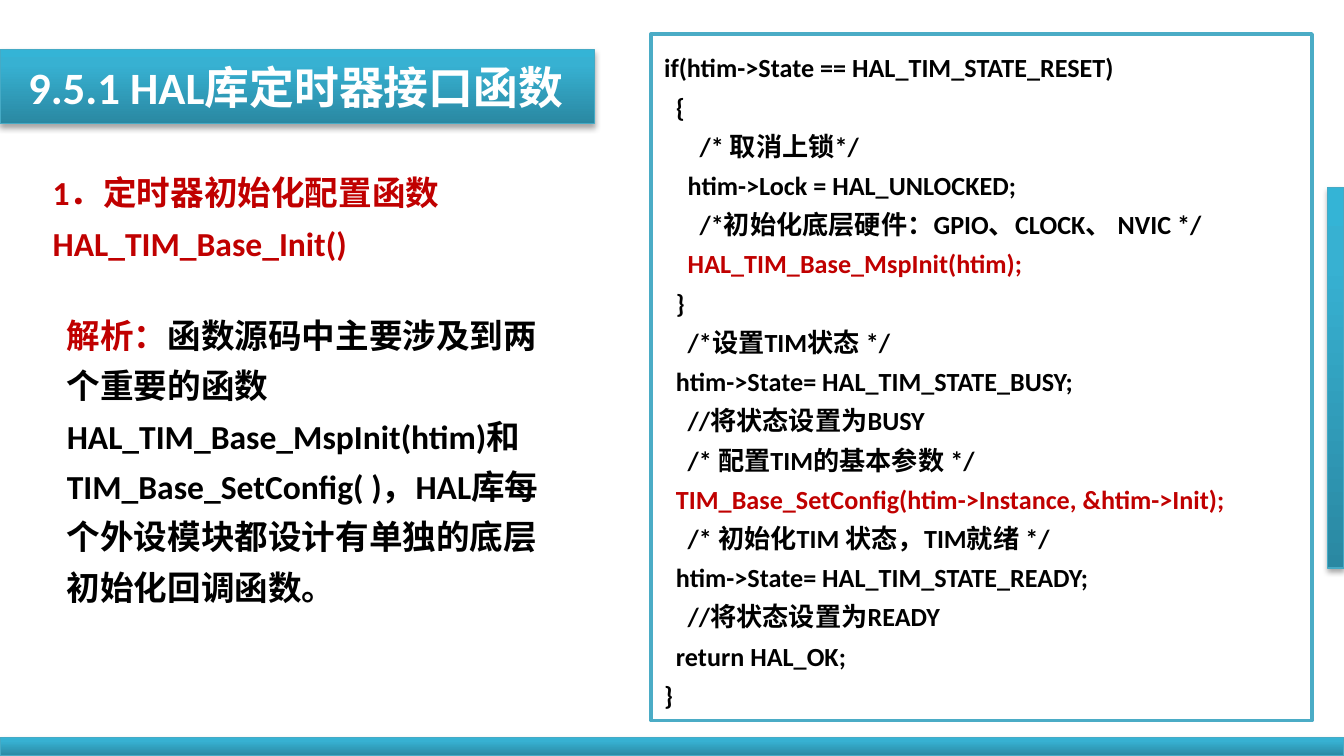
from copy import deepcopy
from dataclasses import dataclass

from lxml.etree import SubElement
from pptx import Presentation
from pptx.dml.color import RGBColor
from pptx.enum.shapes import MSO_SHAPE
from pptx.enum.text import MSO_ANCHOR, MSO_AUTO_SIZE, PP_ALIGN
from pptx.oxml.ns import qn
from pptx.util import Pt


@dataclass(frozen=True)
class Theme:
    font: str = "Calibri"
    title: int = 24
    body: int = 18
    code: int = 14
    space: float = 1.25
    white: str = "FFFFFF"
    ink: str = "000000"
    red: str = "C00000"
    edge: str = "46AAC5"
    frame: str = "4BACC6"
    fade: tuple = ((0, "2A88A2"), (0.8, "37B1D2"), (1, "34B4D6"))


THEME = Theme()

CODE = """if(htim->State == HAL_TIM_STATE_RESET)
  {
      /* 取消上锁*/
    htim->Lock = HAL_UNLOCKED;
      /*初始化底层硬件：GPIO、CLOCK、 NVIC */
    HAL_TIM_Base_MspInit(htim);
  }
    /*设置TIM状态 */
  htim->State= HAL_TIM_STATE_BUSY;
    //将状态设置为BUSY
    /* 配置TIM的基本参数 */
  TIM_Base_SetConfig(htim->Instance, &htim->Init);
    /* 初始化TIM 状态，TIM就绪 */
  htim->State= HAL_TIM_STATE_READY;
    //将状态设置为READY
  return HAL_OK;
}""".splitlines()
CALLS = ("HAL_TIM_Base_MspInit", "TIM_Base_SetConfig")


def style(run, size, color):
    font = run.font
    font.name, font.size, font.bold = THEME.font, Pt(size), True
    font.color.rgb = RGBColor.from_string(color)


def add_rect(slide, box, line, width):
    rect = slide.shapes.add_shape(MSO_SHAPE.RECTANGLE, *map(Pt, box))
    rect.shadow.inherit = False
    rect.line.color.rgb = RGBColor.from_string(line)
    rect.line.width = Pt(width)
    return rect


def add_bar(slide, box):
    """Add a teal bar with a vertical fade and a soft shadow below."""
    bar = add_rect(slide, box, THEME.edge, 0.75)
    bar.fill.gradient()
    bar.fill.gradient_angle = 90
    stops = bar.fill._fill._gradFill.find(qn("a:gsLst"))
    stops.append(deepcopy(stops[-1]))
    for stop, (place, color) in zip(bar.fill.gradient_stops, THEME.fade):
        stop.position = place
        stop.color.rgb = RGBColor.from_string(color)
    effects = bar._element.spPr.find(qn("a:effectLst"))
    shade = SubElement(effects, qn("a:outerShdw"), blurRad=str(Pt(3.1)),
                       dist=str(Pt(1.8)), dir="5400000", rotWithShape="0")
    color = SubElement(shade, qn("a:srgbClr"), val=THEME.ink)
    SubElement(color, qn("a:alpha"), val="35000")


def add_text(slide, box, parts, size, space=None, wrap=True):
    """Add one paragraph made of (text, color) parts."""
    frame = slide.shapes.add_textbox(*map(Pt, box)).text_frame
    frame.word_wrap = wrap
    frame.auto_size = MSO_AUTO_SIZE.SHAPE_TO_FIT_TEXT
    para = frame.paragraphs[0]
    if space:
        para.line_spacing = space
    for text, color in parts:
        run = para.add_run()
        run.text = text
        style(run, size, color)


def add_title(slide, box):
    left, top, width, height = box
    add_bar(slide, box)
    add_text(slide, (left + 8, top + 1.6, width - 8, height - 3.3),
             [("9.5.1 HAL库定时器接口函数", THEME.white)], THEME.title, wrap=False)


def add_notes(slide, box):
    """Add the red heading and, below it, the explanation."""
    left, top, width, height = box
    add_text(slide, (left, top, 226.8, 62),
             [("1．定时器初始化配置函数HAL_TIM_Base_Init()", THEME.red)],
             THEME.body, THEME.space)
    add_text(slide, (left + 7.6, top + 76.4, width - 7.6, height - 76.4),
             [("解析：", THEME.red),
              ("函数源码中主要涉及到两个重要的函数HAL_TIM_Base_MspInit(htim)和"
               "TIM_Base_SetConfig( )，HAL库每个外设模块都设计有单独的底层"
               "初始化回调函数。", THEME.ink)],
             THEME.body, THEME.space)


def add_code(slide, box):
    panel = add_rect(slide, box, THEME.frame, 2)
    panel.fill.solid()
    panel.fill.fore_color.rgb = RGBColor.from_string(THEME.white)
    frame = panel.text_frame
    frame.word_wrap = True
    frame.auto_size = MSO_AUTO_SIZE.SHAPE_TO_FIT_TEXT
    frame.vertical_anchor = MSO_ANCHOR.MIDDLE
    frame.text = "\n".join(CODE)
    for para in frame.paragraphs:
        para.alignment = PP_ALIGN.LEFT
        para.line_spacing = THEME.space
        call = para.text.strip().startswith(CALLS)
        for run in para.runs:
            style(run, THEME.code, THEME.red if call else THEME.ink)


def main():
    deck = Presentation()
    deck.slide_width, deck.slide_height = Pt(720), Pt(405)
    slide = deck.slides.add_slide(deck.slide_layouts[6])
    add_bar(slide, (0, 395.1, 720, 9.9))
    add_bar(slide, (711.2, 100.6, 8.8, 203.8))
    add_title(slide, (0, 26.6, 318.4, 39.6))
    add_notes(slide, (21.1, 83.4, 287.8, 247))
    add_code(slide, (348.7, 18.2, 354.2, 367.8))
    deck.save("out.pptx")


if __name__ == "__main__":
    main()
